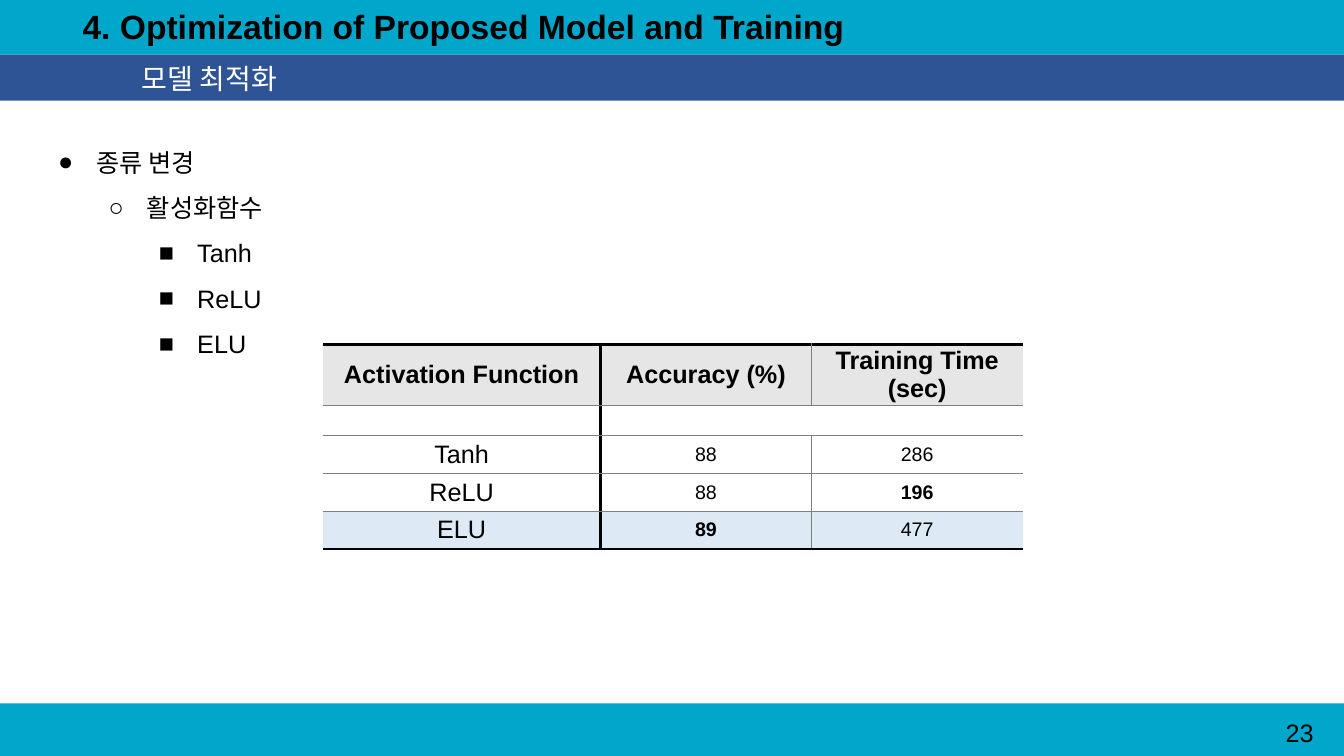
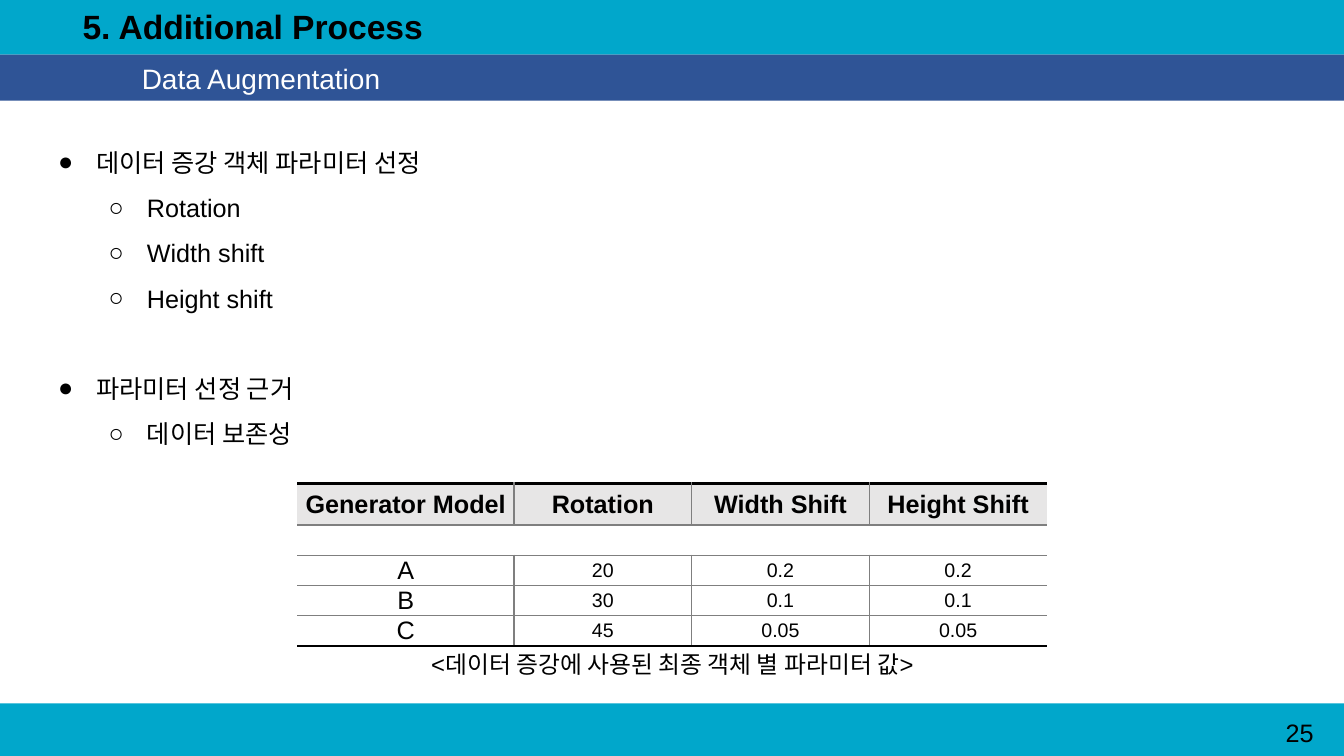
from pptx import Presentation
from pptx.dml.color import RGBColor as RGB
from pptx.enum.shapes import MSO_SHAPE as SHAPE
from pptx.enum.text import MSO_ANCHOR as ANCHOR, PP_ALIGN as ALIGN
from pptx.oxml.ns import qn
from pptx.util import Inches, Pt
from lxml.etree import SubElement

COLS, ROWS = 32, 18
FONT = "Arial"
COLORS = {
    "band": "01A7CB",
    "subband": "2F5496",
    "text": "000000",
    "light": "FFFFFF",
    "rule": "7F7F7F",
    "head": "E7E6E6",
    "mark": "DDEAF6",
}
BULLETS = "●○■"


def color(name):
    return RGB.from_string(COLORS[name])


def write(p, text, size=18, ink="text", bold=False, align=ALIGN.LEFT, spacing=None, before=None):
    p.alignment = align
    if spacing:
        p.line_spacing = spacing
    if before:
        p.space_before = Pt(before)
    r = p.add_run()
    r.text = text
    r.font.name = FONT
    r.font.size = Pt(size)
    r.font.bold = bold
    r.font.color.rgb = color(ink)


def bullet(p, level):
    pPr = p._p.get_or_add_pPr()
    pPr.set("marL", str(Inches(0.5 * (level + 1))))
    pPr.set("indent", str(Inches(-0.38)))
    SubElement(SubElement(pPr, qn("a:buClr")), qn("a:srgbClr"), val=COLORS["text"])
    SubElement(pPr, qn("a:buFont"), typeface=FONT)
    SubElement(pPr, qn("a:buChar"), char=BULLETS[level])


def border(cell, side, rule):
    tcPr = cell._tc.get_or_add_tcPr()
    if rule is None:
        SubElement(SubElement(tcPr, qn(f"a:ln{side}"), w="0"), qn("a:noFill"))
        return
    name, width = rule
    ln = SubElement(tcPr, qn(f"a:ln{side}"), w=str(Pt(width)))
    SubElement(SubElement(ln, qn("a:solidFill")), qn("a:srgbClr"), val=COLORS[name])


class Deck:
    """Builds slides on a grid of COLS by ROWS."""

    thin, thick = ("rule", 1), ("text", 2.25)

    def __init__(self):
        self.prs = Presentation()
        self.prs.slide_width, self.prs.slide_height = Inches(13.33), Inches(7.5)
        self.s = None

    def x(self, cols):
        return round(self.prs.slide_width * cols / COLS)

    def y(self, rows):
        return round(self.prs.slide_height * rows / ROWS)

    def box(self, left, top, width, height):
        return self.x(left), self.y(top), self.x(width), self.y(height)

    def slide(self, title, subtitle, number):
        self.s = self.prs.slides.add_slide(self.prs.slide_layouts[6])
        self.band(16.75, 1.25, "band")
        self.band(0, 1.3, "band")
        self.band(1.3, 1.1, "subband")
        self.text((27.84, 16.97, 3.67, 0.96), str(number), align=ALIGN.RIGHT)
        self.text((1.73, 0.02, 21.2, 1.2), title, size=24, bold=True)
        self.text((3.14, 1.34, 20.7, 1.06), subtitle, anchor=ANCHOR.MIDDLE, size=20, ink="light")

    def band(self, top, height, fill):
        sp = self.s.shapes.add_shape(SHAPE.RECTANGLE, *self.box(0, top, COLS, height))
        sp.shadow.inherit = False
        sp.fill.solid()
        sp.fill.fore_color.rgb = color(fill)
        sp.line.fill.background()

    def frame(self, box, anchor=ANCHOR.TOP):
        tf = self.s.shapes.add_textbox(*self.box(*box)).text_frame
        tf.word_wrap = True
        tf.vertical_anchor = anchor
        return tf

    def text(self, box, text, anchor=ANCHOR.TOP, **style):
        write(self.frame(box, anchor).paragraphs[0], text, **style)

    def bullets(self, height, items):
        tf = self.frame((0.86, 3.02, 15.12, height))
        for i, (level, text) in enumerate(items):
            p = tf.add_paragraph() if i else tf.paragraphs[0]
            gap = 32 if i and level == 0 else None
            write(p, text, align=ALIGN.JUSTIFY, spacing=1.5, before=gap)
            bullet(p, level)

    def table(self, left, top, widths, heights, data, split=False, bold=(), marked=None):
        """The second row is an empty spacer; split sets off the first column."""
        last_row, last_col = len(heights) - 1, len(widths) - 1
        box = self.box(left, top, sum(widths), sum(heights))
        tbl = self.s.shapes.add_table(len(heights), len(widths), *box).table
        tbl.first_row = tbl.horz_banding = False
        for col, width in zip(tbl.columns, widths):
            col.width = self.x(width)
        for row, height in zip(tbl.rows, heights):
            row.height = self.y(height)
        first = 1 if split else 0
        tbl.cell(1, first).merge(tbl.cell(1, last_col))
        dividers = [None] + [self.thin] * last_col + [None]
        if split:
            dividers[1] = self.thick
        levels = [self.thick] + [self.thin] * last_row + [self.thick]
        for i in range(last_row + 1):
            for j in range(last_col + 1):
                cell = tbl.cell(i, j)
                cell.vertical_anchor = ANCHOR.MIDDLE
                cell.margin_left = cell.margin_right = Inches(0.07)
                cell.margin_top = cell.margin_bottom = 0
                spacer = i == 1
                border(cell, "L", None if spacer and j > first else dividers[j])
                border(cell, "R", None if spacer and j >= first else dividers[j + 1])
                border(cell, "T", levels[i])
                border(cell, "B", levels[i + 1])
                fill = "head" if i == 0 else "mark" if i == marked else None
                if fill:
                    cell.fill.solid()
                    cell.fill.fore_color.rgb = color(fill)
                else:
                    cell.fill.background()
                if not spacer:
                    value = data[i - (i > 1)][j]
                    write(cell.text_frame.paragraphs[0], value, align=ALIGN.CENTER,
                          size=18 if i == 0 or j == 0 else 14,
                          bold=i == 0 or (i, j) in bold)


def main():
    deck = Deck()

    deck.slide("4. Optimization of Proposed Model and Training", "모델 최적화", 23)
    deck.bullets(5.33, [(0, "종류 변경"), (1, "활성화함수"), (2, "Tanh"), (2, "ReLU"), (2, "ELU")])
    deck.table(7.68, 8.21, [6.62, 5.02, 5.04], [1.44, 0.72] + [0.9] * 3, [
        ("Activation Function", "Accuracy (%)", "Training Time (sec)"),
        ("Tanh", "88", "286"),
        ("ReLU", "88", "196"),
        ("ELU", "89", "477"),
    ], split=True, bold={(3, 2), (4, 1)}, marked=4)

    deck.slide("5. Additional Process", "Data Augmentation", 25)
    deck.bullets(7.51, [
        (0, "데이터 증강 객체 파라미터 선정"),
        (1, "Rotation"), (1, "Width shift"), (1, "Height shift"),
        (0, "파라미터 선정 근거"),
        (1, "데이터 보존성"),
    ])
    deck.text((9.1, 15, 13.82, 0.94), "<데이터 증강에 사용된 최종 객체 별 파라미터 값>",
              size=17, align=ALIGN.CENTER, spacing=1.5)
    deck.table(7.08, 11.52, [5.16] + [4.23] * 3, [0.98] + [0.72] * 4, [
        ("Generator Model", "Rotation", "Width Shift", "Height Shift"),
        ("A", "20", "0.2", "0.2"),
        ("B", "30", "0.1", "0.1"),
        ("C", "45", "0.05", "0.05"),
    ])

    deck.prs.save("out.pptx")


if __name__ == "__main__":
    main()
